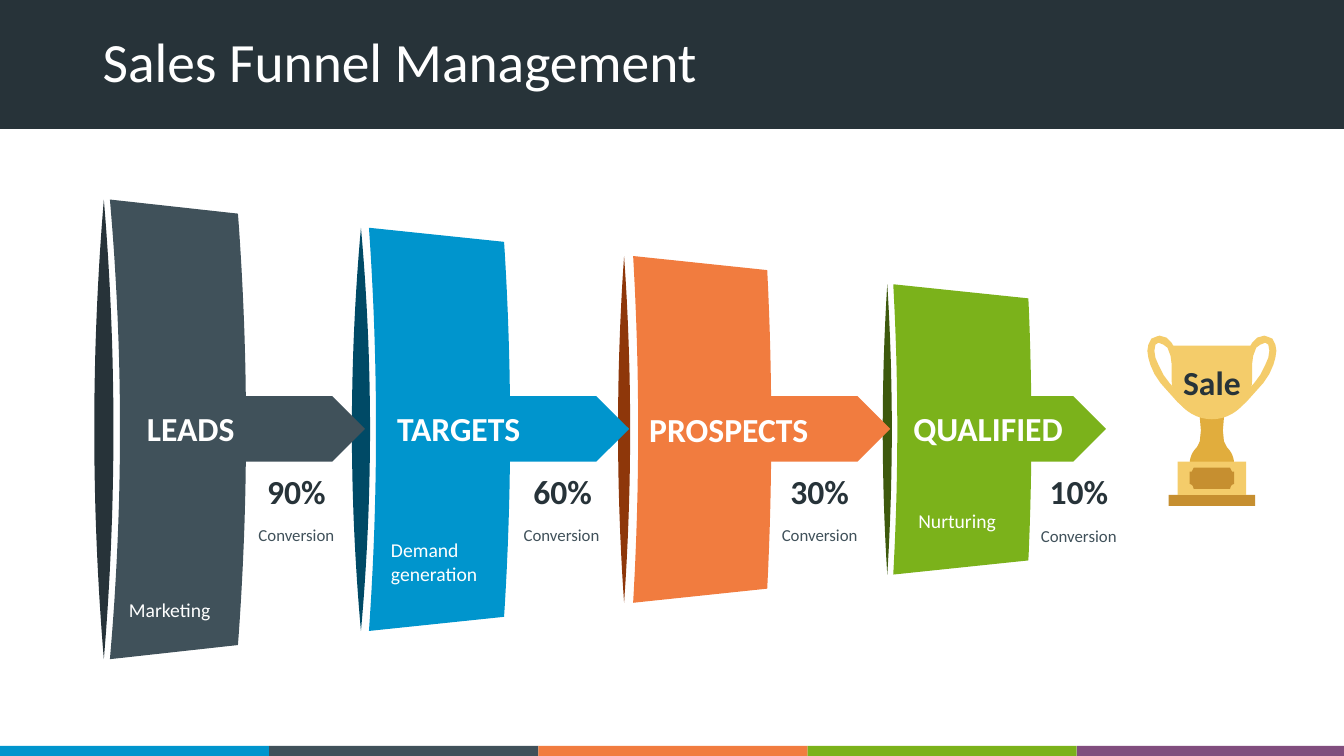
from math import cos, pi, sin

from pptx import Presentation
from pptx.dml.color import RGBColor
from pptx.enum.shapes import MSO_SHAPE
from pptx.enum.text import MSO_ANCHOR, PP_ALIGN
from pptx.util import Emu, Pt

PX = 9144
WIDTH, HEIGHT = 1333, 750
AXIS_Y = 426
CUP_X = 1202
COLORS = {
    "ink": "273339", "slate": "40515A", "blue": "0095CD", "orange": "F17C3F",
    "green": "7BB21B", "purple": "814E7E", "white": "FFFFFF",
    "deep_blue": "004A66", "deep_orange": "8E370A", "deep_green": "3D590D",
    "gold": "F4CC6A", "amber": "E1AD3D", "bronze": "C68F30",
}

deck = Presentation()
deck.slide_width, deck.slide_height = Emu(WIDTH * PX), Emu(HEIGHT * PX)
slide = deck.slides.add_slide(deck.slide_layouts[6])


def draw(outline, color, box=None):
    if box:
        shape = slide.shapes.add_shape(outline, *[Emu(v * PX) for v in box])
    else:
        points = [(round(x * PX), round(y * PX)) for x, y in outline]
        builder = slide.shapes.build_freeform(*points[0], scale=1.0)
        builder.add_line_segments(points[1:], close=True)
        shape = builder.convert_to_shape()
    shape.shadow.inherit = False
    shape.fill.solid()
    shape.fill.fore_color.rgb = RGBColor.from_string(COLORS[color])
    shape.line.fill.background()
    return shape


def write(text, box, size, color, bold=False, align=PP_ALIGN.LEFT,
          anchor=MSO_ANCHOR.TOP, holder=None):
    frame = (holder or slide.shapes.add_textbox(*[Emu(v * PX) for v in box])).text_frame
    frame.text = text
    frame.word_wrap = holder is None
    frame.vertical_anchor = anchor
    paragraph = frame.paragraphs[0]
    paragraph.alignment = align
    font = paragraph.runs[0].font
    font.name, font.size, font.bold = "Calibri", Pt(size), bold
    font.color.rgb = RGBColor.from_string(COLORS[color])
    return paragraph


draw(MSO_SHAPE.RECTANGLE, "ink", (0, 0, WIDTH, 128))
for i, color in enumerate(["blue", "slate", "orange", "green", "purple"]):
    draw(MSO_SHAPE.RECTANGLE, color, (i * 267, 740, min(267, WIDTH - i * 267), 10))
title = write("Sales Funnel Management", (92, 27, 1150, 74), 39.6, "white",
              anchor=MSO_ANCHOR.MIDDLE)
title.line_spacing = 0.9

left_handle = [
    (1177, 407), (1168, 399), (1159, 389), (1151, 380), (1145, 371), (1141, 362),
    (1139, 355), (1138, 348), (1139, 342), (1142, 336), (1147, 334), (1150, 333),
    (1157, 335), (1162, 340), (1166, 347), (1168, 352), (1169, 360), (1162, 360),
    (1161, 353), (1158, 345), (1154, 342), (1149, 340), (1146, 342), (1145, 348),
    (1146, 355), (1149, 362), (1154, 372), (1160, 380), (1168, 389), (1181, 402),
]
left_stem = [(1187, 408), (1190, 414), (1191, 426), (1191, 428), (1190, 438), (1187, 444)]
left_plaque = [(1184, 464), (1183, 466), (1182, 468), (1180, 468),
               (1180, 480), (1182, 481), (1183, 482), (1184, 485)]
stem, plaque = [half + [(2 * CUP_X - x, y) for x, y in reversed(half)]
                for half in (left_stem, left_plaque)]
arc = [(cos(pi * k / 24), sin(pi * k / 24)) for k in range(25)]
bowl = [(1242, 343)] + [(CUP_X + 40 * c, 376 + 40 * s) for c, s in arc] + [(1162, 343)]
foot = [(CUP_X + 22 * c, 460 - 22 * s) for c, s in arc]

draw(left_handle, "gold")
draw([(2 * CUP_X - x, y) for x, y in left_handle], "gold")
draw(stem, "amber")
write("Sale", None, 24, "ink", True, PP_ALIGN.CENTER, MSO_ANCHOR.MIDDLE, draw(bowl, "gold"))
draw(foot, "amber")
draw(MSO_SHAPE.RECTANGLE, "bronze", (1159, 491, 86, 11))
draw(MSO_SHAPE.RECTANGLE, "gold", (1168, 458, 68, 33))
draw(plaque, "bronze")

sweep = [k / 16 for k in range(-16, 17)]
mouths = [(103, 228, 9.5, "ink"), (358, 200, 9, "deep_blue"),
          (619, 172, 6, "deep_orange"), (880, 144, 4.5, "deep_green")]
for x, reach, bulge, color in mouths:
    draw([(x + side * bulge * (1 - t * t), AXIS_Y + side * t * reach)
          for side in (1, -1) for t in sweep], color)

stages = [
    ("LEADS", (136, 392, 117, 66), "Marketing", (118, 588, 111, 44), "90%", (251, 462, 86, 66),
     (235, 516, 118, 40), (235, 127), (109, 236, 228, 10, 8), "slate"),
    ("TARGETS", (384, 392, 156, 66), "Demand generation", (378, 529, 117, 75), "60%",
     (515, 462, 86, 66), (498, 516, 118, 40), (497, 127), (366, 500, 200, 7, 6), "blue"),
    ("PROSPECTS", (634, 393, 195, 66), None, None, "30%", (770, 462, 86, 66),
     (754, 516, 118, 40), (756, 127), (628, 761, 172, 5, 4), "orange"),
    ("QUALIFIED", (896, 392, 185, 66), "Nurturing", (901, 500, 117, 44), "10%",
     (1027, 462, 86, 66), (1011, 517, 118, 40), (1011, 86), (886, 1020, 144, 4, 3), "green"),
]
for (name, name_box, activity, activity_box, rate, rate_box, conversion_box,
     (arrow_x, arrow_width), (left, right, reach, left_bulge, right_bulge), color) in stages:
    draw(MSO_SHAPE.PENTAGON, color, (arrow_x, 393, arrow_width, 65))
    draw([(right + right_bulge * (1 - t * t), AXIS_Y + t * (reach - 14)) for t in sweep]
         + [(left + left_bulge * (1 - t * t), AXIS_Y - t * reach) for t in sweep], color)
    write(name, name_box, 24, "white", True, anchor=MSO_ANCHOR.MIDDLE)
    if activity:
        write(activity, activity_box, 14, "white")
    write("Conversion", conversion_box, 12, "slate", align=PP_ALIGN.CENTER)
    write(rate, rate_box, 24, "ink", True, PP_ALIGN.CENTER)

deck.save("out.pptx")
